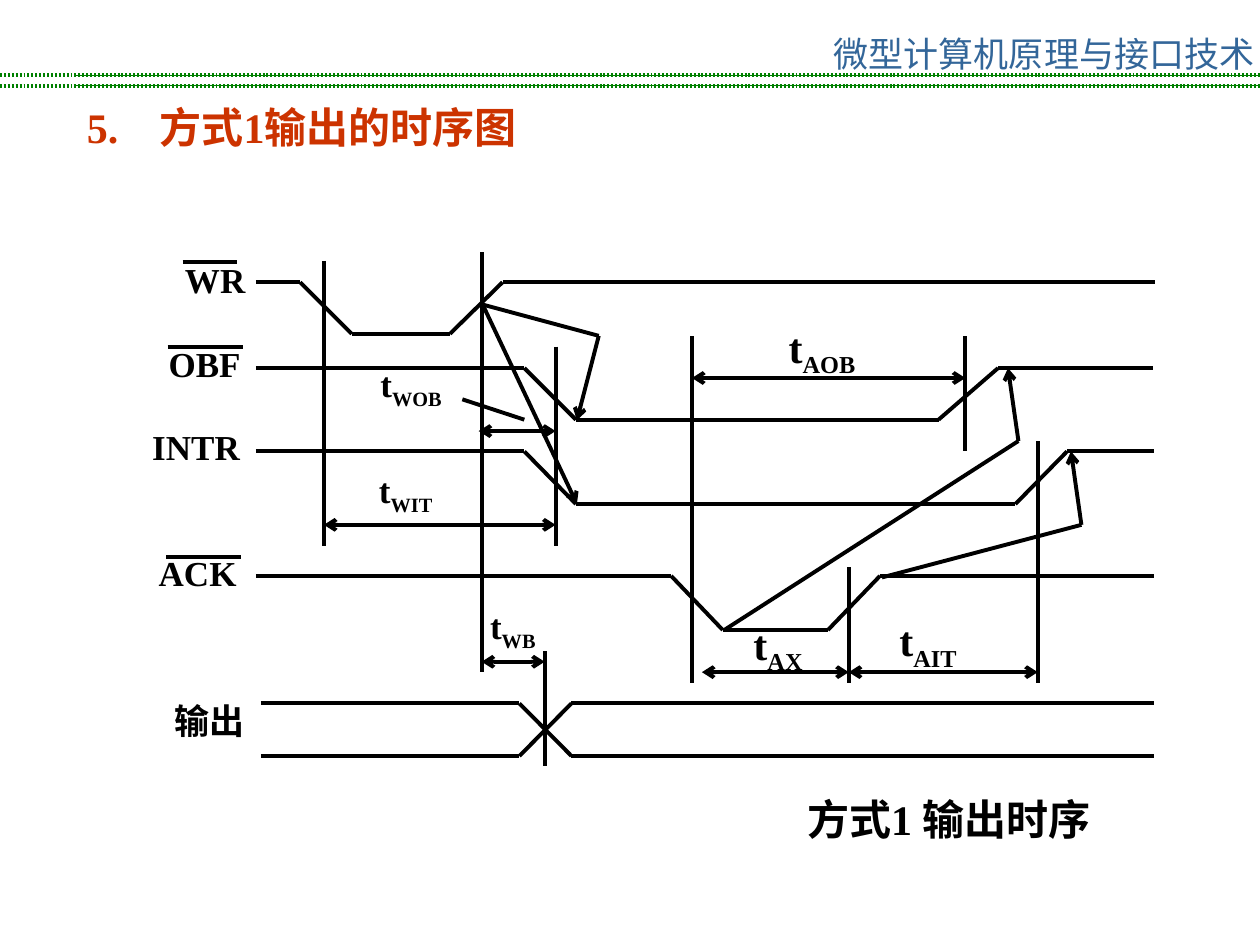
from dataclasses import dataclass
from itertools import pairwise

from lxml.etree import SubElement
from pptx import Presentation
from pptx.dml.color import RGBColor
from pptx.enum.shapes import MSO_CONNECTOR
from pptx.enum.text import MSO_ANCHOR, PP_ALIGN
from pptx.oxml.ns import qn
from pptx.util import Cm, Pt

INK = {"black": "000000", "green": "008000", "blue": "336699", "red": "CC3300"}
SERIF = "Times New Roman"
SANS = "Noto Sans CJK SC"
Point = tuple[float, float]


@dataclass
class Label:
    text: str
    x: float
    y: float
    w: float
    h: float
    size: int = 20
    sub: str = ""
    ink: str = "black"
    font: str = SERIF
    bold: bool = True
    mid: bool = False
    tab: float = 0
    inset: float = 0.25


@dataclass
class Path:
    points: list[Point]
    head: bool = False
    tail: bool = False
    ink: str = "black"
    width: float = 2.25
    dots: bool = False


def draw_line(slide, start: Point, end: Point, path: Path, head: bool, tail: bool) -> None:
    ends = [Cm(v) for v in (*start, *end)]
    link = slide.shapes.add_connector(MSO_CONNECTOR.STRAIGHT, *ends)
    link.line.color.rgb = RGBColor.from_string(INK[path.ink])
    link.line.width = Pt(path.width)
    props = link._element.spPr
    stroke = props.find(qn("a:ln"))
    if path.dots:
        dash = SubElement(stroke, qn("a:custDash"))
        SubElement(dash, qn("a:ds"), d="50000", sp="50000")
    for tag, shown in (("a:headEnd", head), ("a:tailEnd", tail)):
        if shown:
            SubElement(stroke, qn(tag), type="arrow")
    SubElement(props, qn("a:effectLst"))


def draw_path(slide, path: Path) -> None:
    pairs = list(pairwise(path.points))
    for i, (start, end) in enumerate(pairs):
        draw_line(slide, start, end, path,
                  path.head and i == 0, path.tail and i == len(pairs) - 1)


def draw_label(slide, label: Label) -> None:
    area = [Cm(v) for v in (label.x, label.y, label.w, label.h)]
    frame = slide.shapes.add_textbox(*area).text_frame
    frame.word_wrap = True
    frame.vertical_anchor = MSO_ANCHOR.TOP
    frame.margin_left = frame.margin_right = Cm(label.inset)
    para = frame.paragraphs[0]
    para.alignment = PP_ALIGN.CENTER if label.mid else PP_ALIGN.LEFT
    para.add_run().text = label.text
    if label.sub:
        run = para.add_run()
        run.text = label.sub
        run._r.get_or_add_rPr().set("baseline", "-25000")
    if label.tab:
        tabs = SubElement(para._p.get_or_add_pPr(), qn("a:tabLst"))
        SubElement(tabs, qn("a:tab"), pos=str(Cm(label.tab)), algn="l")
    font = para.font
    font.name, font.size, font.bold = label.font, Pt(label.size), label.bold
    font.color.rgb = RGBColor.from_string(INK[label.ink])


# Header rules: a thin line and a dotted line at each height
RULES = [
    Path([(x, y), (25.4, y)], ink="green", width=width, dots=dots)
    for x, width, dots in ((1.5, 0.75, False), (0, 2.25, True))
    for y in (1.52, 1.73)
]

# Signal waves
WAVES = [
    [(5.16, 5.69), (6.05, 5.69), (7.09, 6.73), (9.07, 6.73), (10.13, 5.69), (23.29, 5.69)],
    [(5.16, 7.42), (10.57, 7.42), (11.61, 8.46), (18.92, 8.46), (20.12, 7.42), (23.25, 7.42)],
    [(5.16, 9.1), (10.57, 9.1), (11.61, 10.16), (20.47, 10.16), (21.51, 9.1), (23.27, 9.1)],
    [(5.16, 11.61), (13.53, 11.61), (14.57, 12.7), (16.69, 12.7), (17.74, 11.61), (23.27, 11.61)],
    [(5.26, 14.18), (10.47, 14.18), (11.52, 15.24), (23.27, 15.24)],
    [(5.26, 15.24), (10.47, 15.24), (11.52, 14.18), (23.27, 14.18)],
]

# Time marks: x, top, bottom
MARKS = [
    (6.53, 5.26, 11), (9.71, 5.08, 13.54), (11.2, 6.99, 9.31), (11.2, 8.69, 11),
    (13.95, 6.78, 13.76), (19.46, 6.78, 9.1), (20.92, 8.89, 13.76),
    (17.11, 11.43, 13.76), (10.98, 13.13, 15.45),
]

# Delay spans: y, left, right
SPANS = [
    (8.69, 9.65, 11.2), (7.62, 13.95, 19.46), (13.55, 14.15, 17.11),
    (13.55, 17.11, 20.92), (13.34, 9.71, 10.98), (10.58, 6.53, 11.2),
]

# Bars over active-low names: y, left, right
BARS = [(5.29, 3.68, 4.78), (6.99, 3.38, 4.9), (11.22, 3.35, 4.85)]

# Cause-and-effect arrows
CAUSES = [
    [(9.73, 6.14), (12.07, 6.77), (11.63, 8.47)],
    [(9.73, 6.14), (11.63, 10.16)],
    [(14.6, 12.7), (20.53, 8.89), (20.32, 7.42)],
    [(17.78, 11.64), (21.8, 10.58), (21.59, 9.1)],
]

LEADER = Path([(9.32, 8.05), (10.57, 8.46)])

LABELS = [
    # Header, title and caption
    Label("微型计算机原理与接口技术", 16.7, 0.53, 8.7, 0.9, ink="blue",
          font=SANS, bold=False, mid=True, inset=0),
    Label("5.\t方式1输出的时序图", 1.5, 1.93, 22.02, 1.27, 24, ink="red", tab=1.47),
    Label("方式1 输出时序", 15.42, 15.88, 7.42, 1.27, 24, mid=True),
    # Signal names
    Label("WR", 3.48, 5.08, 3.71, 1.12),
    Label("OBF", 3.15, 6.78, 3.71, 1.12),
    Label("INTR", 2.82, 8.46, 4.57, 1.12),
    Label("ACK", 2.95, 11, 2.84, 1.12),
    Label("输出", 2.34, 13.97, 3.78, 1.12, mid=True),
    # Delay names
    Label("t", 7.42, 7.19, 2.62, 1.22, sub="WOB"),
    Label("t", 7.39, 9.32, 2.62, 1.22, sub="WIT"),
    Label("t", 9.63, 12.07, 2.62, 1.22, sub="WB"),
    Label("t", 14.94, 12.34, 2.62, 1.42, 24, sub="AX"),
    Label("t", 15.65, 6.35, 2.62, 1.42, 24, sub="AOB"),
    Label("t", 17.88, 12.27, 2.62, 1.42, 24, sub="AIT"),
]


def main() -> None:
    deck = Presentation()
    deck.slide_width, deck.slide_height = Cm(25.4), Cm(19.05)
    slide = deck.slides.add_slide(deck.slide_layouts[6])
    paths = [
        *RULES,
        *(Path(wave) for wave in WAVES),
        *(Path([(x, top), (x, low)]) for x, top, low in MARKS),
        *(Path([(a, y), (b, y)], head=True, tail=True) for y, a, b in SPANS),
        *(Path([(a, y), (b, y)]) for y, a, b in BARS),
        *(Path(cause, tail=True) for cause in CAUSES),
        LEADER,
    ]
    for path in paths:
        draw_path(slide, path)
    for label in LABELS:
        draw_label(slide, label)
    deck.save("out.pptx")


if __name__ == "__main__":
    main()
